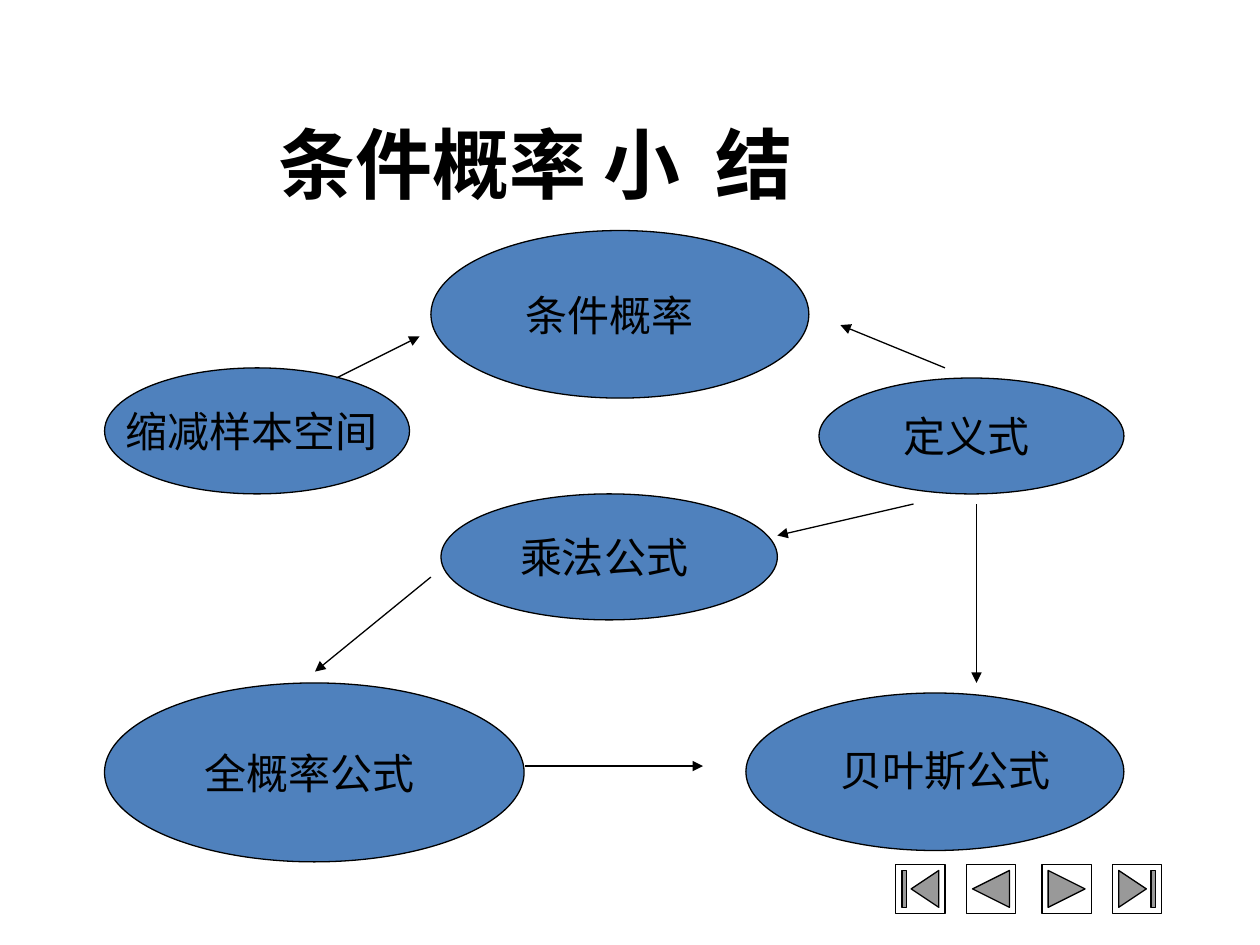
"""Build a summary slide on conditional probability as a concept map."""
from lxml.etree import SubElement
from pptx import Presentation
from pptx.dml.color import RGBColor
from pptx.enum.shapes import MSO_CONNECTOR, MSO_SHAPE as Shape
from pptx.enum.text import MSO_ANCHOR as Anchor, PP_ALIGN as Align
from pptx.oxml.ns import qn
from pptx.util import Inches, Pt


def color(value):
    return RGBColor.from_string(value)


def add_outlined(preset, bounds, fill):
    shape = slide.shapes.add_shape(preset, *map(Inches, bounds))
    shape.shadow.inherit = False
    shape.fill.solid()
    shape.fill.fore_color.rgb = color(fill)
    shape.line.color.rgb = color("000000")
    shape.line.width = Pt(0.75)
    return shape


deck = Presentation()
deck.slide_width, deck.slide_height = Inches(10), Inches(7.5)
slide = deck.slides.add_slide(deck.slide_layouts[5])

heading = slide.shapes.title
heading_bounds = {"left": 0, "top": 0.67, "width": 8.5, "height": 1.25}
for name, value in heading_bounds.items():
    setattr(heading, name, Inches(value))
heading.text_frame.text = "条件概率 小  结"
heading.text_frame.vertical_anchor = Anchor.MIDDLE
heading_line = heading.text_frame.paragraphs[0]
heading_line.alignment = Align.CENTER
heading_font = {"name": "Calibri", "size": Pt(44), "bold": True}
for name, value in heading_font.items():
    setattr(heading_line.font, name, value)
heading_line.font.color.rgb = color("000000")

concepts = [
    ("条件概率", (3.42, 1.83, 3, 1.33), 0.27),
    ("缩减样本空间", (0.83, 2.92, 2.42, 1), 0.18),
    ("定义式", (6.5, 3, 2.42, 0.92), 0.18),
    ("乘法公式", (3.5, 3.92, 2.67, 1), 0.18),
    ("全概率公式", (0.83, 5.42, 3.33, 1.42), 0.18),
    ("", (5.92, 5.5, 3, 1.25), 0.1),
]
labels = []
for concept, bounds, right_inset in concepts:
    ellipse = add_outlined(Shape.OVAL, bounds, "4F81BD")
    if concept:
        ellipse.text_frame.margin_right = Inches(right_inset)
        labels.append((ellipse.text_frame, concept, Align.CENTER, Anchor.MIDDLE))

bayes = slide.shapes.add_textbox(Inches(6.57), Inches(5.86), Inches(1.87), Inches(0.5))
labels.append((bayes.text_frame, "贝叶斯公式", Align.LEFT, Anchor.TOP))

label_font = {"name": "Times New Roman", "size": Pt(24)}
for frame, concept, alignment, anchor in labels:
    frame.text = concept
    frame.word_wrap = False
    frame.vertical_anchor = anchor
    line = frame.paragraphs[0]
    line.alignment = alignment
    for name, value in label_font.items():
        setattr(line.font, name, value)
    line.font.color.rgb = color("000000")

arrows = [
    (2.67, 3, 3.33, 2.67),
    (7.5, 2.92, 6.67, 2.58),
    (7.25, 4, 6.17, 4.25),
    (3.42, 4.58, 2.5, 5.33),
    (4.17, 6.08, 5.58, 6.08),
    (7.75, 4, 7.75, 5.42),
]
for ends in arrows:
    arrow = slide.shapes.add_connector(MSO_CONNECTOR.STRAIGHT, *map(Inches, ends))
    arrow.line.color.rgb = color("000000")
    arrow.line.width = Pt(0.75)
    SubElement(arrow.line._get_or_add_ln(), qn("a:tailEnd"), type="triangle")
    SubElement(arrow._element.spPr, qn("a:effectLst"))

navigation = [
    (Shape.ACTION_BUTTON_BEGINNING, 7.11),
    (Shape.ACTION_BUTTON_BACK_OR_PREVIOUS, 7.67),
    (Shape.ACTION_BUTTON_FORWARD_OR_NEXT, 8.27),
    (Shape.ACTION_BUTTON_END, 8.83),
]
for button, left in navigation:
    add_outlined(button, (left, 6.86, 0.39, 0.39), "FFFFFF")

deck.save("out.pptx")
